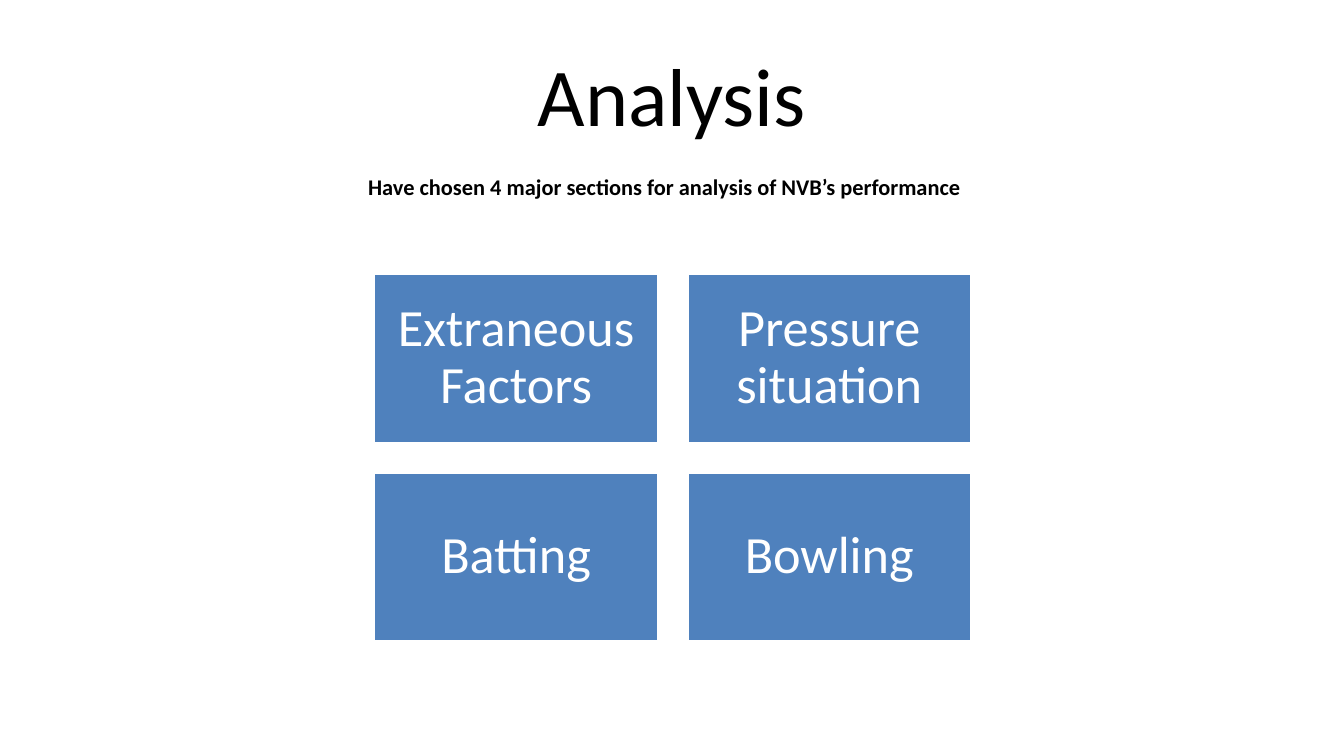
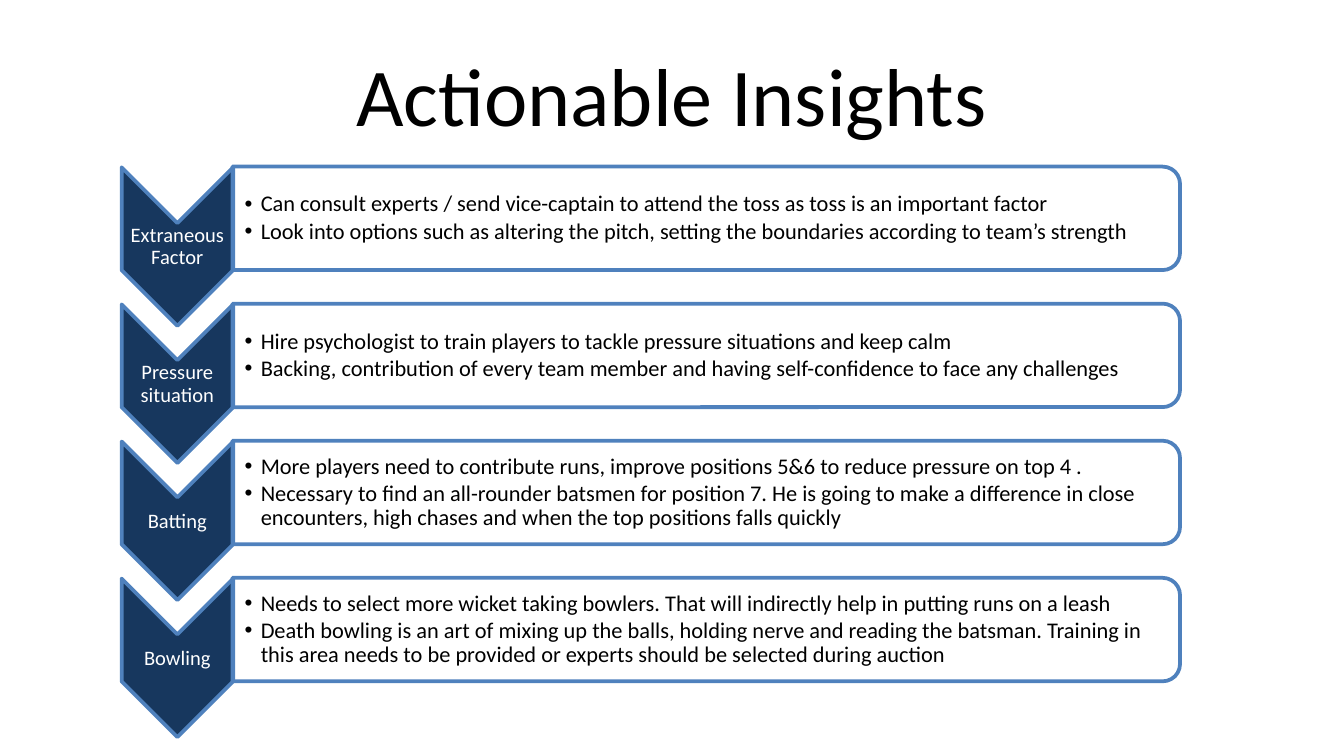
from dataclasses import dataclass
from typing import NamedTuple

from lxml.etree import SubElement
from pptx import Presentation
from pptx.dml.color import RGBColor
from pptx.enum.shapes import MSO_SHAPE as Preset
from pptx.enum.text import MSO_ANCHOR as Anchor, PP_ALIGN as Align
from pptx.oxml.ns import qn
from pptx.util import Emu, Inches, Pt


@dataclass(frozen=True)
class Theme:
    font: str = "Calibri"
    ink: RGBColor = RGBColor(0x00, 0x00, 0x00)
    paper: RGBColor = RGBColor(0xFF, 0xFF, 0xFF)
    blue: RGBColor = RGBColor(0x4F, 0x81, 0xBD)
    navy: RGBColor = RGBColor(0x17, 0x37, 0x5E)
    title_size: float = 44
    tile_size: float = 28
    body_size: float = 12
    label_size: float = 11
    outline: float = 2
    tight: float = 0.9


THEME = Theme()
WIDTH, HEIGHT = Inches(10), Inches(5.625)
COLUMN, ROW = WIDTH / 100, HEIGHT / 45


class Box(NamedTuple):
    """An area in grid columns and rows."""
    x: float
    y: float
    w: float
    h: float

    def emu(self) -> tuple:
        return (Emu(round(self.x * COLUMN)), Emu(round(self.y * ROW)),
                Emu(round(self.w * COLUMN)), Emu(round(self.h * ROW)))

    def down(self, rows: float) -> "Box":
        return self._replace(y=self.y + rows)


class TextStyle(NamedTuple):
    size: float
    color: RGBColor = THEME.ink
    bold: bool = False
    align: Align = Align.LEFT
    anchor: Anchor = Anchor.MIDDLE
    spacing: float = THEME.tight
    after: float = 0  # share of the type size
    insets: tuple = (0.01, 0.01, 0.01, 0.01)
    hanging: float = 0  # bullet indent in inches


TITLE = TextStyle(THEME.title_size, align=Align.CENTER, spacing=1,
                  insets=(0.1, 0.05, 0.1, 0.05))
SUBTITLE = TextStyle(THEME.body_size, bold=True, anchor=Anchor.TOP, spacing=1,
                     insets=(0.1, 0.05, 0.1, 0.05))
TILE = TextStyle(THEME.tile_size, THEME.paper, align=Align.CENTER, after=0.35,
                 insets=(0.12, 0.12, 0.12, 0.12))
LABEL = TextStyle(THEME.label_size, THEME.paper, align=Align.CENTER, after=0.35)
ADVICE = TextStyle(THEME.body_size, after=0.15, hanging=0.12,
                   insets=(0.09, 0.01, 0.01, 0.01))


class Insight(NamedTuple):
    section: str
    actions: tuple


SECTIONS = ("Extraneous Factors", "Pressure situation", "Batting", "Bowling")
INSIGHTS = (
    Insight("Extraneous Factor", (
        "Can consult experts / send vice-captain to attend the toss as toss is an important factor",
        "Look into options such as altering the pitch, setting the boundaries according to team’s strength")),
    Insight("Pressure situation", (
        "Hire psychologist to train players to tackle pressure situations and keep calm",
        "Backing, contribution of every team member and having self-confidence to face any challenges")),
    Insight("Batting", (
        "More players need to contribute runs, improve positions 5&6 to reduce pressure on top 4 .",
        "Necessary to find an all-rounder batsmen for position 7. He is going to make a difference "
        "in close encounters, high chases and when the top positions falls quickly")),
    Insight("Bowling", (
        "Needs to select more wicket taking bowlers. That will indirectly help in putting runs on a leash",
        "Death bowling is an art of mixing up the balls, holding nerve and reading the batsman. "
        "Training in this area needs to be provided or experts should be selected during auction")),
)

# Slide layout
TITLE_BOX = Box(5, 1.84, 90, 7.52)
SUBTITLE_BOX = Box(26.4, 9.92, 46.5, 2.4)
FIRST_TILE = Box(27.8, 16.24, 21.2, 10.16)
TILE_STEP_X, TILE_STEP_Y = 23.3, 11.84
CHEVRON_BOX = Box(9.05, 9.96, 8.3, 9.44)
LABEL_BOX = Box(9.05, 13.28, 8.3, 2.88)
BAR_BOX = Box(17.3, 9.92, 70.5, 6.16)
ADVICE_BOX = Box(17.3, 10.24, 70.1, 5.52)
INSIGHT_STEP = 8.16


def add_bullet(paragraph, hanging: float) -> None:
    properties = paragraph._p.get_or_add_pPr()
    properties.set("marL", str(Inches(hanging)))
    properties.set("indent", str(-Inches(hanging)))
    SubElement(properties, qn("a:buFont")).set("typeface", "Arial")
    SubElement(properties, qn("a:buChar")).set("char", "•")


def write(frame, lines: tuple, style: TextStyle) -> None:
    frame.word_wrap = True
    frame.vertical_anchor = style.anchor
    (frame.margin_left, frame.margin_top,
     frame.margin_right, frame.margin_bottom) = map(Inches, style.insets)
    for index, line in enumerate(lines):
        paragraph = frame.add_paragraph() if index else frame.paragraphs[0]
        paragraph.alignment = style.align
        paragraph.line_spacing = style.spacing
        paragraph.space_after = Pt(style.size * style.after)
        if style.hanging:
            add_bullet(paragraph, style.hanging)
        run = paragraph.add_run()
        run.text = line
        run.font.name = THEME.font
        run.font.size = Pt(style.size)
        run.font.bold = style.bold
        run.font.color.rgb = style.color


def add_words(slide, box: Box, lines: tuple, style: TextStyle) -> None:
    write(slide.shapes.add_textbox(*box.emu()).text_frame, lines, style)


def add_panel(slide, preset: Preset, box: Box, fill: RGBColor | None,
              line: RGBColor, turned: bool = False):
    """Draw a preset in the area it covers, after a quarter turn if asked."""
    left, top, width, height = box.emu()
    if turned:
        shift = (width - height) // 2
        left, top, width, height = left + shift, top - shift, height, width
    panel = slide.shapes.add_shape(preset, left, top, width, height)
    panel.rotation = 90 if turned else 0
    panel.shadow.inherit = False
    if fill is None:
        panel.fill.background()
    else:
        panel.fill.solid()
        panel.fill.fore_color.rgb = fill
    panel.line.color.rgb = line
    panel.line.width = Pt(THEME.outline)
    return panel


def add_titled_slide(deck, heading: str):
    slide = deck.slides.add_slide(deck.slide_layouts[5])
    title = slide.shapes.title
    title.left, title.top, title.width, title.height = TITLE_BOX.emu()
    write(title.text_frame, (heading,), TITLE)
    return slide


def build_analysis(deck) -> None:
    slide = add_titled_slide(deck, "Analysis")
    add_words(slide, SUBTITLE_BOX,
              ("Have chosen 4 major sections for analysis of NVB’s performance",), SUBTITLE)
    # Two by two section tiles
    for index, section in enumerate(SECTIONS):
        row, column = divmod(index, 2)
        box = FIRST_TILE._replace(x=FIRST_TILE.x + column * TILE_STEP_X).down(row * TILE_STEP_Y)
        tile = add_panel(slide, Preset.RECTANGLE, box, THEME.blue, THEME.paper)
        write(tile.text_frame, (section,), TILE)


def build_insights(deck) -> None:
    slide = add_titled_slide(deck, "Actionable Insights")
    # One chevron and one bar of advice for each section
    for index, insight in enumerate(INSIGHTS):
        drop = index * INSIGHT_STEP
        add_panel(slide, Preset.CHEVRON, CHEVRON_BOX.down(drop),
                  THEME.navy, THEME.blue, turned=True)
        add_words(slide, LABEL_BOX.down(drop), (insight.section,), LABEL)
        add_panel(slide, Preset.ROUND_2_SAME_RECTANGLE, BAR_BOX.down(drop),
                  None, THEME.blue, turned=True)
        add_words(slide, ADVICE_BOX.down(drop), insight.actions, ADVICE)


def main() -> None:
    deck = Presentation()
    deck.slide_width, deck.slide_height = WIDTH, HEIGHT
    build_analysis(deck)
    build_insights(deck)
    deck.save("out.pptx")


if __name__ == "__main__":
    main()
